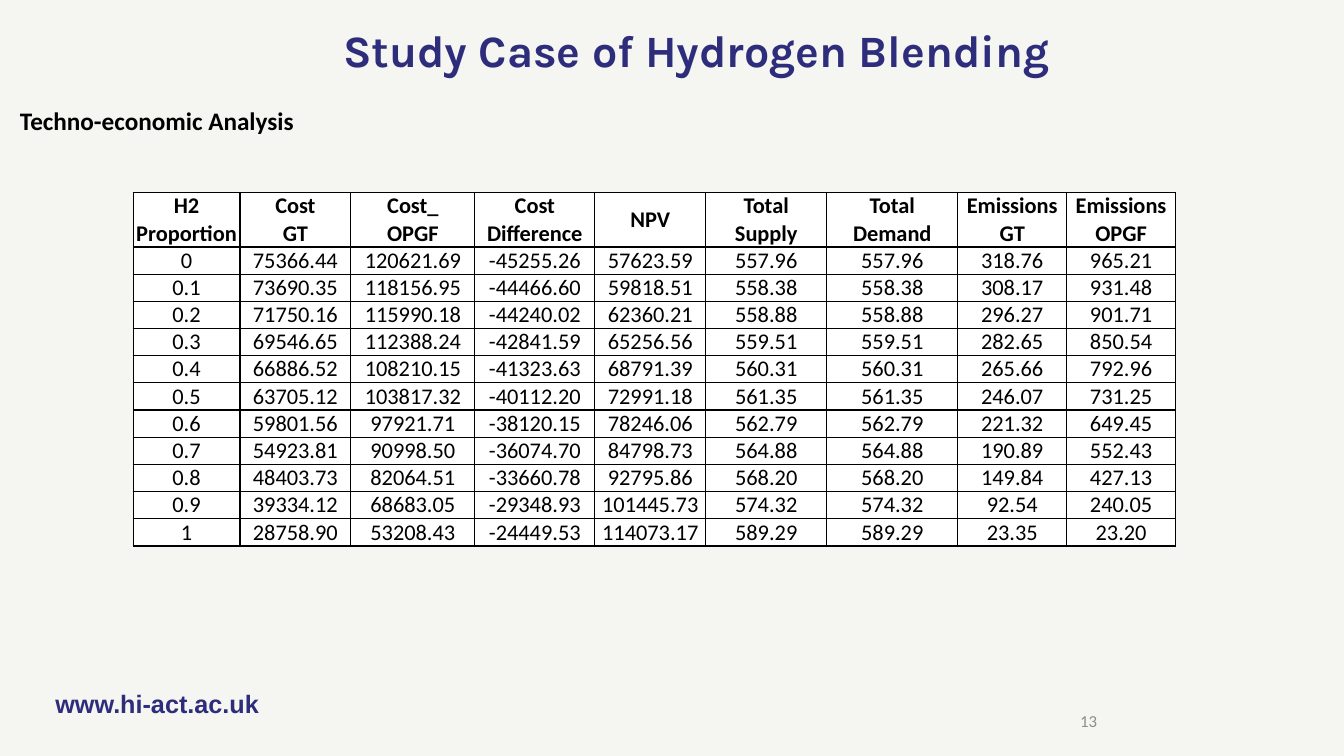
from lxml import etree
from pptx import Presentation
from pptx.dml.color import RGBColor
from pptx.enum import text
from pptx.oxml import ns
from pptx.util import Inches, Pt

BACKGROUND = RGBColor(0xF5, 0xF5, 0xF2)
NAVY = RGBColor(0x2D, 0x2D, 0x7C)
GREY = RGBColor(0x8C, 0x8C, 0x8C)
BLACK = RGBColor(0, 0, 0)
WHITE = RGBColor(0xFF, 0xFF, 0xFF)

LEFT, CENTER, RIGHT = text.PP_ALIGN.LEFT, text.PP_ALIGN.CENTER, text.PP_ALIGN.RIGHT
TOP, MIDDLE, BOTTOM = (text.MSO_ANCHOR.TOP, text.MSO_ANCHOR.MIDDLE,
                       text.MSO_ANCHOR.BOTTOM)

HEADERS = ["H2 Proportion", "Cost\nGT", "Cost_\nOPGF", "Cost Difference", "NPV",
           "Total\nSupply", "Total\nDemand", "Emissions\nGT", "Emissions\nOPGF"]
COLUMN_WIDTHS = [1.06, 1.1, 1.23, 1.19, 1.1, 1.2, 1.3, 1.08, 1.08]
RESULTS = """
0 75366.44 120621.69 -45255.26 57623.59 557.96 557.96 318.76 965.21
0.1 73690.35 118156.95 -44466.60 59818.51 558.38 558.38 308.17 931.48
0.2 71750.16 115990.18 -44240.02 62360.21 558.88 558.88 296.27 901.71
0.3 69546.65 112388.24 -42841.59 65256.56 559.51 559.51 282.65 850.54
0.4 66886.52 108210.15 -41323.63 68791.39 560.31 560.31 265.66 792.96
0.5 63705.12 103817.32 -40112.20 72991.18 561.35 561.35 246.07 731.25
0.6 59801.56 97921.71 -38120.15 78246.06 562.79 562.79 221.32 649.45
0.7 54923.81 90998.50 -36074.70 84798.73 564.88 564.88 190.89 552.43
0.8 48403.73 82064.51 -33660.78 92795.86 568.20 568.20 149.84 427.13
0.9 39334.12 68683.05 -29348.93 101445.73 574.32 574.32 92.54 240.05
1 28758.90 53208.43 -24449.53 114073.17 589.29 589.29 23.35 23.20
"""


def write(frame, words, size, font_name, color, bold, align):
    frame.text = words
    for paragraph in frame.paragraphs:
        paragraph.alignment = align
        for run in paragraph.runs:
            run.font.size = Pt(size)
            run.font.name = font_name
            run.font.bold = bold
            run.font.color.rgb = color


def add_label(slide, box, words, size, font_name, color, bold=True, align=LEFT,
              anchor=TOP, inset=None):
    frame = slide.shapes.add_textbox(*map(Inches, box)).text_frame
    frame.word_wrap = True
    frame.vertical_anchor = anchor
    if inset is not None:
        frame.margin_left = frame.margin_right = Inches(inset)
        frame.margin_top = frame.margin_bottom = Inches(inset)
    write(frame, words, size, font_name, color, bold, align)


def add_borders(cell):
    properties = cell._tc.get_or_add_tcPr()
    for side in ("a:lnL", "a:lnR", "a:lnT", "a:lnB"):
        line = etree.SubElement(properties, ns.qn(side), w=str(Pt(1)))
        fill = etree.SubElement(line, ns.qn("a:solidFill"))
        etree.SubElement(fill, ns.qn("a:srgbClr"), val=str(BLACK))


def add_results_table(slide, left, top, row_height):
    rows = [HEADERS] + [line.split() for line in RESULTS.strip().splitlines()]
    # The header takes two lines, each result one
    height = row_height * (len(rows) + 1)
    results = slide.shapes.add_table(
        len(rows), len(HEADERS), Inches(left), Inches(top),
        Inches(sum(COLUMN_WIDTHS)), Inches(height)).table
    results.horz_banding = False
    for column, width in zip(results.columns, COLUMN_WIDTHS):
        column.width = Inches(width)
    for r, values in enumerate(rows):
        is_header = r == 0
        results.rows[r].height = Inches(row_height * (2 if is_header else 1))
        for c, value in enumerate(values):
            cell = results.cell(r, c)
            cell.margin_left = cell.margin_right = 0
            cell.margin_top = cell.margin_bottom = 0
            cell.vertical_anchor = MIDDLE if is_header else BOTTOM
            add_borders(cell)
            cell.fill.solid()
            cell.fill.fore_color.rgb = WHITE
            write(cell.text_frame, value, 16, "Calibri", BLACK, is_header, CENTER)


def add_heading(slide):
    add_label(slide, (2.22, 0.18, 9.38, 0.64), "Study Case of Hydrogen Blending",
              32, "Karla", NAVY, align=CENTER)
    add_label(slide, (0.1, 1, 3.37, 0.4), "Techno-economic Analysis",
              18, "Calibri", BLACK)


def add_footer(slide):
    add_label(slide, (0.55, 6.83, 6.67, 0.3), "www.hi-act.ac.uk",
              18, "Arial", NAVY, inset=0)
    add_label(slide, (8.73, 6.95, 2.25, 0.4), "13", 12, "Calibri", GREY,
              bold=False, align=RIGHT, anchor=MIDDLE)


def main():
    deck = Presentation()
    deck.slide_width, deck.slide_height = Inches(13.33), Inches(7.5)
    slide = deck.slides.add_slide(deck.slide_layouts[6])
    slide.background.fill.solid()
    slide.background.fill.fore_color.rgb = BACKGROUND
    add_footer(slide)
    add_heading(slide)
    add_results_table(slide, left=1.32, top=1.91, row_height=0.27)
    deck.save("out.pptx")


if __name__ == "__main__":
    main()
